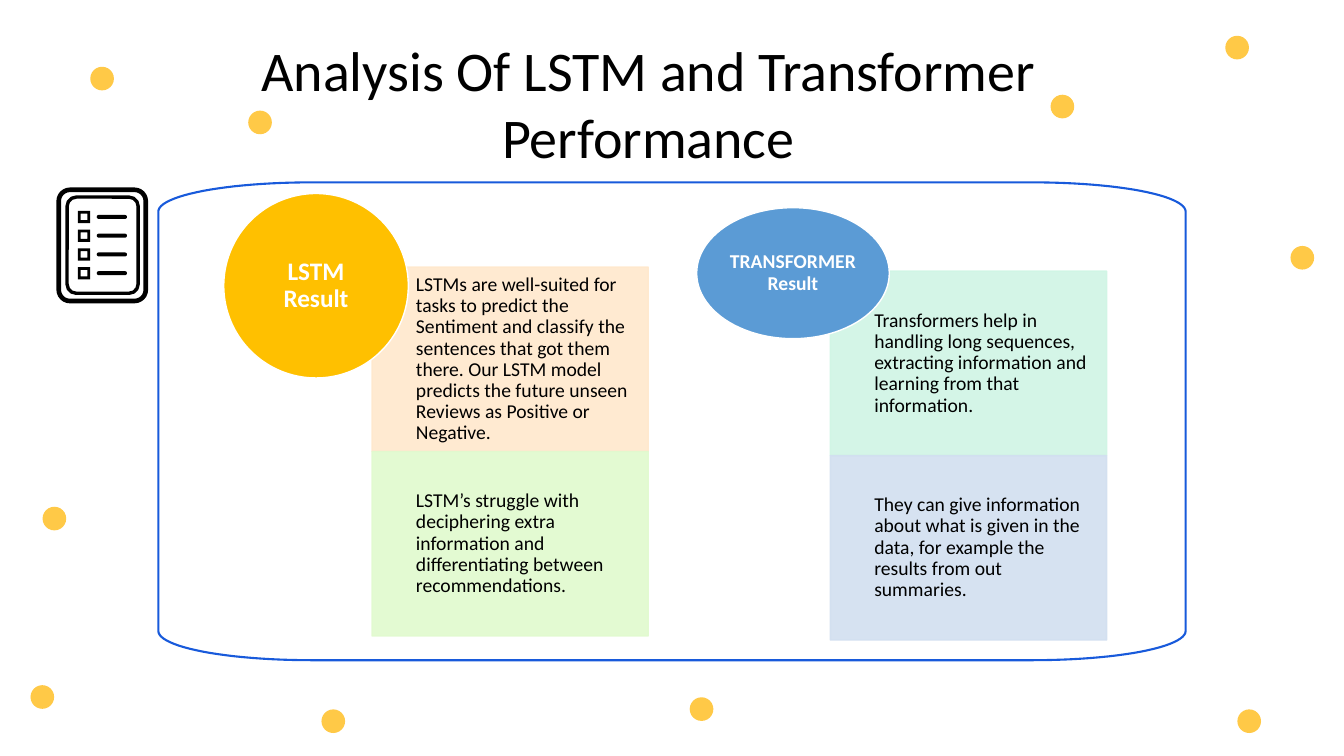
import math
import lxml.etree
import pptx
import pptx.dml.color
import pptx.enum.shapes
import pptx.enum.text
import pptx.oxml.ns
import pptx.util

THEME = {
    "font": "Calibri", "title": 40, "lstm": 18, "body": 14,
    "ink": "000000", "paper": "FFFFFF", "dot": "FFC947", "panel": "185ADB",
}
SHAPES = pptx.enum.shapes.MSO_SHAPE
ALIGN = pptx.enum.text.PP_ALIGN
ANCHOR = pptx.enum.text.MSO_ANCHOR

deck = pptx.Presentation()
deck.slide_width = pptx.util.Inches(13.33)
deck.slide_height = pptx.util.Inches(7.5)
# The grid has 100 columns and 100 rows
COL, ROW = deck.slide_width / 100, deck.slide_height / 100
slide = deck.slides.add_slide(deck.slide_layouts.get_by_name("Title Only"))


def add_part(kind, left, top, width, height, fill=None, line=None, points=1, opacity=100):
    """Add a preset shape placed in columns and rows of the grid."""
    part = slide.shapes.add_shape(
        kind, round(left * COL), round(top * ROW), round(width * COL), round(height * ROW))
    part.shadow.inherit = False
    for paint, color in ((part.fill, fill), (part.line.fill, line)):
        if color is None:
            paint.background()
            continue
        paint.solid()
        paint.fore_color.rgb = pptx.dml.color.RGBColor.from_string(color)
    if line:
        part.line.width = pptx.util.Pt(points)
    if opacity < 100:
        for tint in part._element.spPr.iter(pptx.oxml.ns.qn("a:srgbClr")):
            lxml.etree.SubElement(tint, pptx.oxml.ns.qn("a:alpha"), val=str(opacity * 1000))
    return part


def write(part, text, size, color, align, spacing, bold=False):
    """Fill a shape with one formatted paragraph."""
    part.text_frame.text = text
    part.text_frame.word_wrap = True
    part.text_frame.vertical_anchor = ANCHOR.MIDDLE
    paragraph = part.text_frame.paragraphs[0]
    paragraph.alignment = align
    paragraph.line_spacing = spacing
    for run in paragraph.runs:
        run.font.name = THEME["font"]
        run.font.size = pptx.util.Pt(size)
        run.font.bold = bold
        run.font.color.rgb = pptx.dml.color.RGBColor.from_string(color)
    for line_break in paragraph._p.iter(pptx.oxml.ns.qn("a:br")):
        lxml.etree.SubElement(line_break, pptx.oxml.ns.qn("a:rPr"), sz=str(size * 100))


# Title
title = slide.shapes.title
title.left, title.width = round(18.38 * COL), round(59.71 * COL)
title.top, title.height = round(3.87 * ROW), round(19.33 * ROW)
write(title, "Analysis Of LSTM and Transformer Performance",
      THEME["title"], THEME["ink"], ALIGN.CENTER, 1.0)
title.text_frame.auto_size = pptx.enum.text.MSO_AUTO_SIZE.SHAPE_TO_FIT_TEXT

# Scattered dots, given by their centres
DOT_COLS, DOT_ROWS = 1.76, 3.13
for x, y in ((52.2, 93.8), (24.8, 95.4), (4.05, 68.6), (92.95, 95.4), (3.15, 92.2),
             (19.35, 16.2), (79.05, 14.1), (7.6, 10.4), (92.05, 6.3), (96.9, 34.1)):
    add_part(SHAPES.OVAL, x - DOT_COLS / 2, y - DOT_ROWS / 2, DOT_COLS, DOT_ROWS, THEME["dot"])

# Checklist icon: two borders, then four rows of box and bar
for left, top, width, height, points in ((4.37, 25.11, 6.48, 14.72, 3.3),
                                         (4.99, 26.07, 5.29, 12.73, 2.4)):
    border = add_part(SHAPES.ROUNDED_RECTANGLE, left, top, width, height,
                      line=THEME["ink"], points=points)
    border.adjustments[0] = 0.13
for item in range(4):
    top = 27.9 + 2.48 * item
    checkbox = add_part(SHAPES.FRAME, 5.8, top, 0.9, 1.6, THEME["ink"])
    checkbox.adjustments[0] = 0.23
    bar = add_part(SHAPES.ROUNDED_RECTANGLE, 7.2, top + 0.53, 2.25, 0.53, THEME["ink"])
    bar.adjustments[0] = 0.5

# Panel outline with wide elliptical corners
LEFT, TOP, RIGHT, BOTTOM = 11.78, 24.13, 88.22, 87.33
BEND_COLS, BEND_ROWS, STEPS = 11.33, 3.87, 24
outline = []
for corner, (x, y) in enumerate(((RIGHT - BEND_COLS, BOTTOM - BEND_ROWS),
                                 (LEFT + BEND_COLS, BOTTOM - BEND_ROWS),
                                 (LEFT + BEND_COLS, TOP + BEND_ROWS),
                                 (RIGHT - BEND_COLS, TOP + BEND_ROWS))):
    for step in range(STEPS + 1):
        angle = math.pi / 2 * (corner + step / STEPS)
        outline.append((round((x + BEND_COLS * math.cos(angle)) * COL),
                        round((y + BEND_ROWS * math.sin(angle)) * ROW)))
builder = slide.shapes.build_freeform(*outline[0])
builder.add_line_segments(outline[1:], close=True)
panel = builder.convert_to_shape()
panel.shadow.inherit = False
panel.fill.background()
panel.line.color.rgb = pptx.dml.color.RGBColor.from_string(THEME["panel"])
panel.line.width = pptx.util.Pt(1.5)

# One model per column: stacked cards with a round heading over their corner
CARD_COLS, CARD_ROWS = 20.56, 24.4
models = (
    ("LSTM\vResult", THEME["lstm"], "FFC000", (16.65, 25.6, 13.73, 24.4), (27.68, 35.33), (
        ("FFE8CC", "LSTMs are well-suited for tasks to predict the Sentiment and classify "
                   "the sentences that got them there. Our LSTM model predicts the future "
                   "unseen Reviews as Positive or Negative."),
        ("E1FACE", "LSTM’s struggle with deciphering extra information and "
                   "differentiating between recommendations."))),
    ("TRANSFORMER\vResult", THEME["body"], "5B9BD5", (51.84, 27.47, 14.33, 17.33), (61.78, 35.87), (
        ("D0F5E5", "Transformers help in handling long sequences, extracting information "
                   "and learning from that information."),
        ("D2DFF0", "They can give information about what is given in the data, for example "
                   "the results from out summaries."))),
)
for heading, size, color, oval, (left, top), findings in models:
    for row, (tint, finding) in enumerate(findings):
        card = add_part(SHAPES.RECTANGLE, left, top + row * CARD_ROWS, CARD_COLS, CARD_ROWS,
                        tint, tint, opacity=90)
        write(card, finding, THEME["body"], THEME["ink"], ALIGN.LEFT, 0.9)
        card.text_frame.margin_left = round(3.27 * COL)
        card.text_frame.margin_right = round(0.83 * COL)
        card.text_frame.margin_top = card.text_frame.margin_bottom = round(1.47 * ROW)
    badge = add_part(SHAPES.OVAL, *oval, color, THEME["paper"])
    write(badge, heading, size, THEME["paper"], ALIGN.CENTER, 0.9, bold=True)
    frame = badge.text_frame
    frame.margin_left = frame.margin_right = frame.margin_top = frame.margin_bottom = 0

deck.save("out.pptx")
